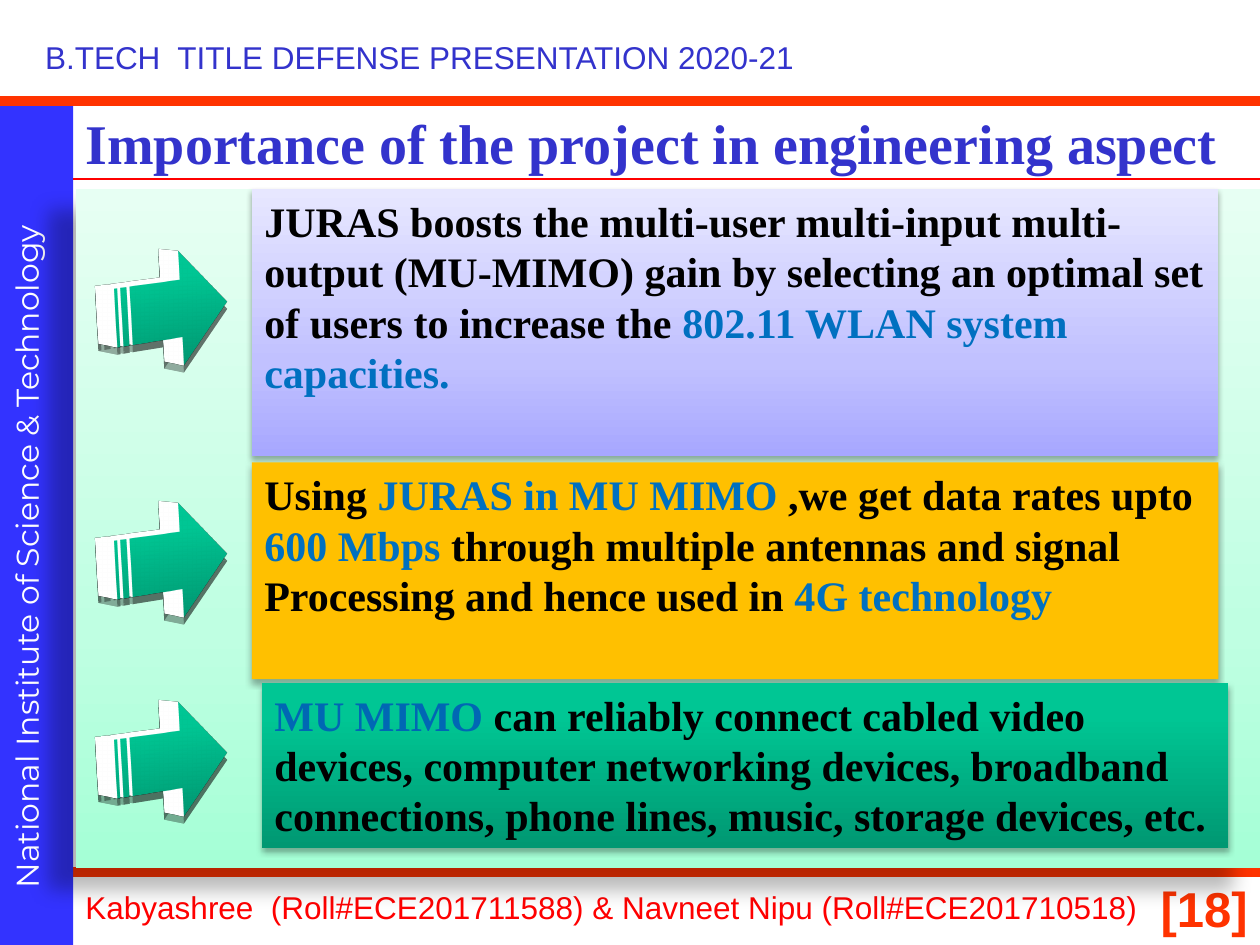
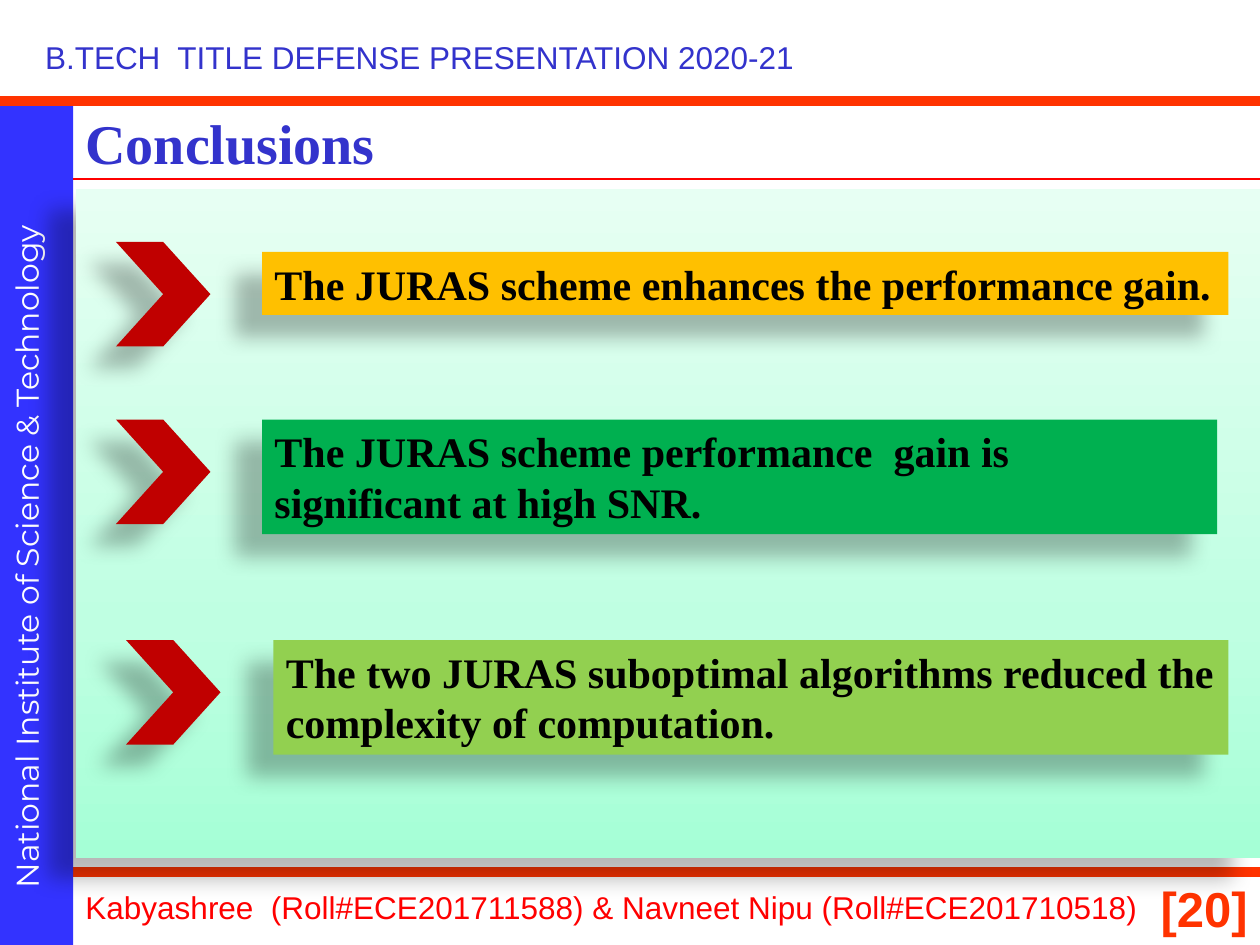
from copy import deepcopy

from lxml.etree import SubElement
from pptx import Presentation
from pptx.dml.color import RGBColor
from pptx.enum.shapes import MSO_CONNECTOR, MSO_SHAPE
from pptx.enum.text import MSO_ANCHOR, PP_ALIGN
from pptx.oxml import parse_xml
from pptx.oxml.ns import nsdecls, qn
from pptx.util import Pt

EMU_PER_PX = 9144
BLACK, WHITE, RED, ORANGE_RED = "000000", "FFFFFF", "FF0000", "FF3300"
SIDEBAR_BLUE, TITLE_BLUE, HIGHLIGHT = "3333FF", "3333CC", "0070C0"
AMBER, CRIMSON = "FFC000", "C00000"
MINT = [(0, "A5FFD6"), (0.35, "BFFFE2"), (1, "E7FFF3")]
LAVENDER = [(0, "A7A7FF"), (0.35, "C1C1FF"), (1, "E7E7FF")]
TEAL = [(0, "009872"), (0.8, "00C694"), (1, "00C795")]

LONG_SHADOW = (28, 11.8, 19.7, 141)
SOFT_SHADOW = (32, 3.5, 2.2, 90)
ARROW_SHADOW = (33, 17.8, 4, 87)

ARROW_SCENE = f"""<a:scene3d {nsdecls("a")}>
  <a:camera prst="perspectiveFront" fov="3300000"><a:rot lat="486000" lon="19530000" rev="174000"/></a:camera>
  <a:lightRig rig="harsh" dir="t"><a:rot lat="0" lon="0" rev="3000000"/></a:lightRig>
</a:scene3d>"""
ARROW_DEPTH = f"""<a:sp3d {nsdecls("a")} extrusionH="254000" contourW="19050">
  <a:bevelT w="82550" h="44450" prst="angle"/>
  <a:bevelB w="82550" h="44450" prst="angle"/>
  <a:extrusionClr><a:srgbClr val="FFFFFF"/></a:extrusionClr>
  <a:contourClr><a:srgbClr val="FFFFFF"/></a:contourClr>
</a:sp3d>"""


def color(value):
    return RGBColor.from_string(value)


def add_block(slide, frame, kind=None, fill=None, shadow=None, paragraphs=(),
              font=("Times New Roman", 24, True, BLACK)):
    left, top, width, height = [length * EMU_PER_PX for length in frame]
    if kind is None:
        shape = slide.shapes.add_textbox(left, top, width, height)
    else:
        shape = slide.shapes.add_shape(kind, left, top, width, height)
        shape.shadow.inherit = False
        shape.line.fill.background()
    if isinstance(fill, str):
        shape.fill.solid()
        shape.fill.fore_color.rgb = color(fill)
    elif fill:
        shape.fill.gradient()
        shape.fill.gradient_angle = 90
        stops = shape._element.spPr.find(".//" + qn("a:gsLst"))
        stops.append(deepcopy(stops[-1]))
        for stop, (position, value) in zip(shape.fill.gradient_stops, fill):
            stop.position = position
            stop.color.rgb = color(value)
    if shadow:
        opacity, blur, distance, angle = shadow
        effects = shape._element.spPr.find(qn("a:effectLst"))
        outer = SubElement(effects, qn("a:outerShdw"), blurRad=str(Pt(blur)), dist=str(Pt(distance)),
                           dir=str(angle * 60000), algn="ctr", rotWithShape="0")
        tint = SubElement(outer, qn("a:srgbClr"), val=BLACK)
        SubElement(tint, qn("a:alpha"), val=str(opacity * 1000))
    frame_text = shape.text_frame
    frame_text.word_wrap = True
    frame_text.vertical_anchor = MSO_ANCHOR.TOP
    name, size, bold, base = font
    for index, runs in enumerate(paragraphs):
        paragraph = frame_text.paragraphs[0] if index == 0 else frame_text.add_paragraph()
        paragraph.alignment = PP_ALIGN.LEFT
        paragraph.font.name = name
        paragraph.font.size = Pt(size)
        paragraph.font.bold = bold
        if len(runs) == 1:
            paragraph.font.color.rgb = color(base)
        for text, tint in runs:
            run = paragraph.add_run()
            run.text = text
            if len(runs) > 1:
                run.font.color.rgb = color(tint or base)
    return shape


slides = [
    {
        "title": "Importance of the project in engineering aspect",
        "number": "[18]",
        "panel_height": 539,
        "box_shadow": SOFT_SHADOW,
        "boxes": [
            ((200, 150, 767, 212), LAVENDER, [[
                ("JURAS boosts the multi-user multi-input multi-output (MU-MIMO) gain by selecting "
                 "an optimal set of users to increase the ", None),
                ("802.11 WLAN system capacities.", HIGHLIGHT)]]),
            ((200, 367, 767, 172), AMBER, [
                [("Using ", None), ("JURAS in MU MIMO ", HIGHLIGHT), (",we get data rates upto ", None),
                 ("600 Mbps ", HIGHLIGHT), ("through multiple antennas and signal", None)],
                [("Processing and hence used in ", None), ("4G technology", HIGHLIGHT)]]),
            ((208, 542, 767, 131), TEAL, [[
                ("MU MIMO ", "0067B4"),
                ("can reliably connect cabled video devices, computer networking devices, broadband "
                 "connections, phone lines, music, storage devices, etc.", None)]]),
        ],
        "marker": (MSO_SHAPE.STRIPED_RIGHT_ARROW, (108, 92), TEAL, ARROW_SHADOW),
        "marker_places": [(83, 200), (83, 400), (83, 558)],
    },
    {
        "title": "Conclusions",
        "number": "[20]",
        "panel_height": 531,
        "box_shadow": LONG_SHADOW,
        "boxes": [
            ((208, 200, 767, 50), AMBER, [[("The JURAS scheme enhances the performance gain.", None)]]),
            ((208, 333, 758, 91), "00B050", [[
                ("The JURAS scheme performance  gain is significant at high SNR.", None)]]),
            ((217, 508, 758, 91), "92D050", [[
                ("The two JURAS suboptimal algorithms reduced the complexity of computation.", None)]]),
        ],
        "marker": (MSO_SHAPE.CHEVRON, (75, 83), CRIMSON, LONG_SHADOW),
        "marker_places": [(92, 192), (92, 333), (100, 508)],
    },
]

presentation = Presentation()
presentation.slide_width = 1000 * EMU_PER_PX
presentation.slide_height = 750 * EMU_PER_PX

for content in slides:
    slide = presentation.slides.add_slide(presentation.slide_layouts[6])

    for start, y, tint, weight in [(0, 692, ORANGE_RED, 6), (0, 80, ORANGE_RED, 6), (58, 142, RED, 0.75)]:
        rule = slide.shapes.add_connector(
            MSO_CONNECTOR.STRAIGHT, start * EMU_PER_PX, y * EMU_PER_PX, 1000 * EMU_PER_PX, y * EMU_PER_PX)
        rule.line.color.rgb = color(tint)
        rule.line.width = Pt(weight)
        SubElement(rule._element.spPr, qn("a:effectLst"))
        if y == 692:
            add_block(slide, (0, 80, 58, 670), MSO_SHAPE.RECTANGLE, SIDEBAR_BLUE)

    institute = add_block(slide, (-287, 387, 616, 40),
                          paragraphs=[[("National Institute of Science & Technology", None)]],
                          font=("Montserrat", 18, False, WHITE))
    institute.rotation = 270
    institute.text_frame.paragraphs[0].space_before = Pt(11.2)

    number = add_block(slide, (892, 692, 108, 58), paragraphs=[[(content["number"], None)]],
                       font=("Arial", 28, True, ORANGE_RED))
    number.text_frame.paragraphs[0].alignment = PP_ALIGN.RIGHT

    header = add_block(slide, (26, 25, 620, 41),
                       paragraphs=[[("B.TECH  TITLE DEFENSE PRESENTATION 2020-21", None)]],
                       font=("Arial", 18, False, TITLE_BLUE))
    header.text_frame.word_wrap = False

    add_block(slide, (58, 700, 875, 41),
              paragraphs=[[("Kabyashree  (Roll#ECE201711588) & Navneet Nipu (Roll#ECE201710518)", None)]],
              font=("Arial", 18, False, RED))

    title = add_block(slide, (58, 81, 942, 63), paragraphs=[[(content["title"], None)]],
                      font=("Times New Roman", 32, True, TITLE_BLUE))
    title.text_frame.vertical_anchor = MSO_ANCHOR.MIDDLE

    add_block(slide, (60, 150, 940, content["panel_height"]), MSO_SHAPE.RECTANGLE, MINT, LONG_SHADOW)

    for frame, fill, paragraphs in content["boxes"]:
        add_block(slide, frame, MSO_SHAPE.RECTANGLE, fill, content["box_shadow"], paragraphs)

    kind, size, fill, shadow = content["marker"]
    for place in content["marker_places"]:
        marker = add_block(slide, place + size, kind, fill, shadow)
        if kind == MSO_SHAPE.STRIPED_RIGHT_ARROW:
            marker._element.spPr.append(parse_xml(ARROW_SCENE))
            marker._element.spPr.append(parse_xml(ARROW_DEPTH))

presentation.save("out.pptx")
